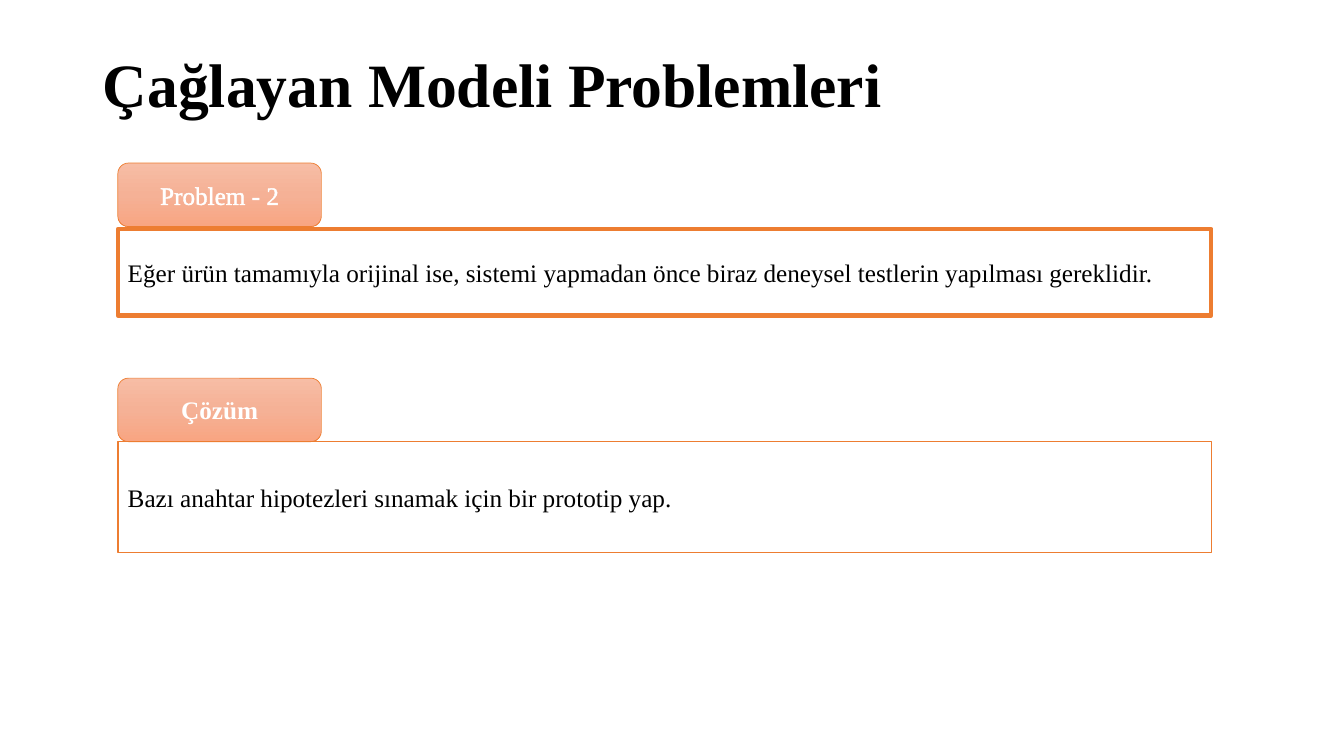
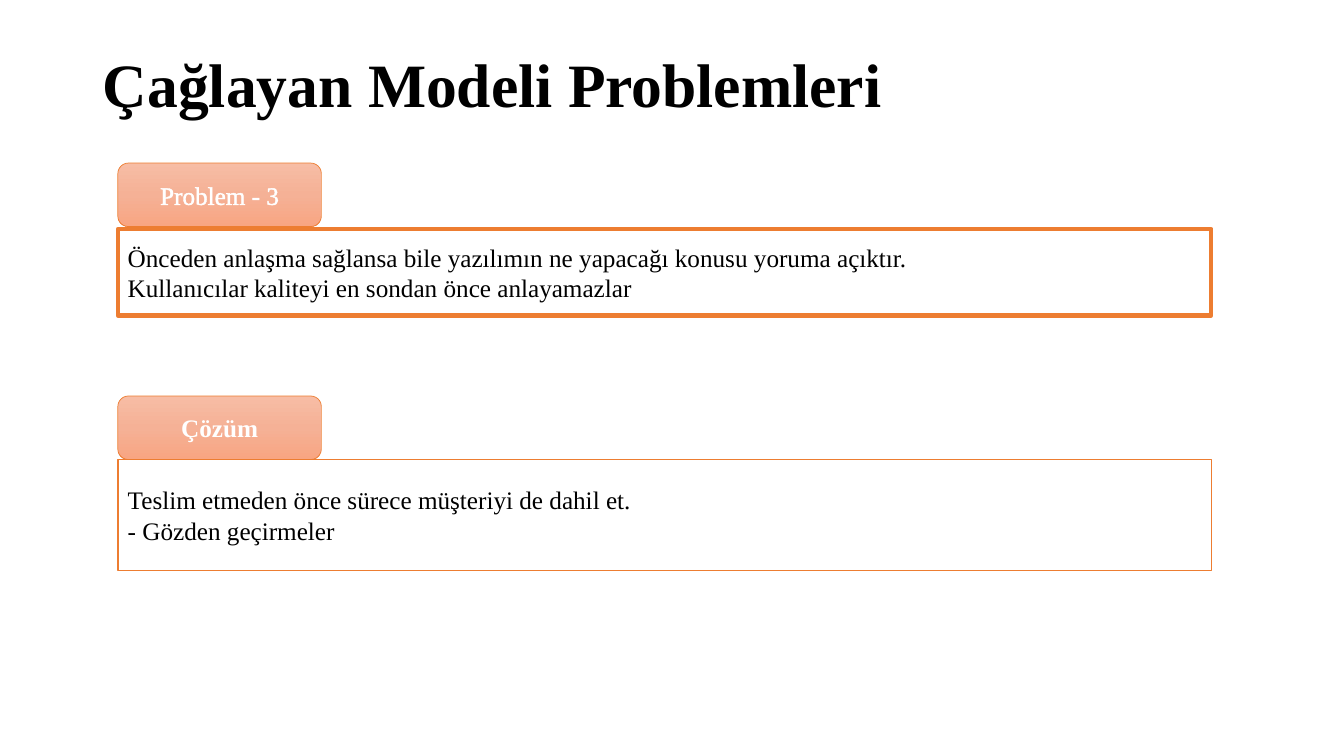
import copy
from dataclasses import dataclass

import lxml.etree
import pptx
import pptx.dml.color
import pptx.enum.dml
import pptx.enum.shapes
import pptx.enum.text
import pptx.oxml.ns
import pptx.util

Cm, Pt = pptx.util.Cm, pptx.util.Pt
RGB = pptx.dml.color.RGBColor.from_string
ALIGN = pptx.enum.text.PP_ALIGN
SHAPE = pptx.enum.shapes.MSO_SHAPE
qn = pptx.oxml.ns.qn


@dataclass(frozen=True)
class Theme:
    font: str = "Times New Roman"
    ink: str = "000000"
    light: str = "FFFFFF"
    accent: str = "ED7D31"
    tab_top: str = "F7BDA5"
    tab_middle: str = "F5B196"
    tab_bottom: str = "F8A582"
    title_size: int = 44
    text_size: int = 18
    tab_line: float = 0.5
    text_outline: float = 1.75


@dataclass(frozen=True)
class Panel:
    """A tab label and the framed text under it."""
    label: str
    lines: tuple
    top: float
    height: float
    gap: float
    frame_line: float
    outlined: bool


THEME = Theme()
TITLE = "Çağlayan Modeli Problemleri"
TITLE_BOX = (2.34, 1.02, 29.21, 2.39)
PANEL_LEFT, PANEL_WIDTH = 2.97, 27.56
TAB_WIDTH, TAB_HEIGHT = 5.13, 1.6


def problem(number, *lines):
    return Panel(f"Problem - {number}", lines, 4.11, 2.18, 0.06, 3, True)


def solution(top, *lines):
    return Panel("Çözüm", lines, top, 2.79, 0, 1, False)


SLIDES = (
    (problem(2, "Eğer ürün tamamıyla orijinal ise, sistemi yapmadan önce biraz "
                "deneysel testlerin yapılması gereklidir."),
     solution(9.53, "Bazı anahtar hipotezleri sınamak için bir prototip yap.")),
    (problem(3, "Önceden anlaşma sağlansa bile yazılımın ne yapacağı konusu yoruma açıktır.",
             "Kullanıcılar kaliteyi en sondan önce anlayamazlar"),
     solution(9.98, "Teslim etmeden önce sürece müşteriyi de dahil et.",
              "- Gözden geçirmeler")),
)


def write(tf, lines, size, color, bold=False, **paragraph_format):
    """Write one paragraph per line, all in the same format."""
    tf.word_wrap = True
    tf.vertical_anchor = pptx.enum.text.MSO_ANCHOR.MIDDLE
    font_format = {"name": THEME.font, "size": Pt(size), "bold": bold}
    for i, line in enumerate(lines):
        p = tf.paragraphs[0] if i == 0 else tf.add_paragraph()
        for name, value in paragraph_format.items():
            setattr(p, name, value)
        r = p.add_run()
        r.text = line
        for name, value in font_format.items():
            setattr(r.font, name, value)
        r.font.color.rgb = RGB(color)


def outline_text(r, color, width):
    """Give the letters of a run an outline."""
    ln = lxml.etree.Element(qn("a:ln"), w=str(int(Pt(width))))
    fill = lxml.etree.SubElement(ln, qn("a:solidFill"))
    lxml.etree.SubElement(fill, qn("a:srgbClr"), val=color)
    r.font._element.insert(0, ln)


def fill_gradient(sp):
    """Shade a shape from top to bottom with three stops."""
    sp.fill.gradient()
    sp.fill.gradient_angle = 270
    stops = sp.fill._xPr.find(qn("a:gradFill")).find(qn("a:gsLst"))
    stops.insert(1, copy.deepcopy(stops[0]))
    colors = (THEME.tab_top, THEME.tab_middle, THEME.tab_bottom)
    for stop, position, color in zip(sp.fill.gradient_stops, (0, 0.5, 1), colors):
        stop.position = position
        stop.color.rgb = RGB(color)


def add_box(slide, kind, box, line_width):
    sp = slide.shapes.add_shape(kind, *map(Cm, box))
    sp.shadow.inherit = False
    sp.line.color.rgb = RGB(THEME.accent)
    sp.line.width = Pt(line_width)
    return sp


def add_panel(slide, panel, left, width):
    # Tab label
    tab = add_box(slide, SHAPE.ROUNDED_RECTANGLE,
                  (left, panel.top, TAB_WIDTH, TAB_HEIGHT), THEME.tab_line)
    fill_gradient(tab)
    write(tab.text_frame, [panel.label], THEME.text_size, THEME.light,
          bold=not panel.outlined, alignment=ALIGN.CENTER)
    if panel.outlined:
        outline_text(tab.text_frame.paragraphs[0].runs[0], THEME.light, THEME.text_outline)

    # Framed text
    frame_top = panel.top + TAB_HEIGHT + panel.gap
    frame = add_box(slide, SHAPE.RECTANGLE,
                    (left, frame_top, width, panel.height), panel.frame_line)
    frame.fill.background()
    write(frame.text_frame, panel.lines, THEME.text_size, THEME.ink,
          alignment=ALIGN.JUSTIFY)


def add_title(slide, text, box):
    title = slide.shapes.title
    for name, value in zip(("left", "top", "width", "height"), box):
        setattr(title, name, Cm(value))
    title.text_frame.auto_size = pptx.enum.text.MSO_AUTO_SIZE.NONE
    write(title.text_frame, [text], THEME.title_size, THEME.ink, bold=True,
          alignment=ALIGN.LEFT, line_spacing=0.9)


def add_problem_slide(prs, panels):
    slide = prs.slides.add_slide(prs.slide_layouts.get_by_name("Title Only"))
    add_title(slide, TITLE, TITLE_BOX)
    for panel in panels:
        add_panel(slide, panel, PANEL_LEFT, PANEL_WIDTH)


def main():
    prs = pptx.Presentation()
    prs.slide_width, prs.slide_height = Cm(33.87), Cm(19.05)
    for panels in SLIDES:
        add_problem_slide(prs, panels)
    prs.save("out.pptx")


if __name__ == "__main__":
    main()
